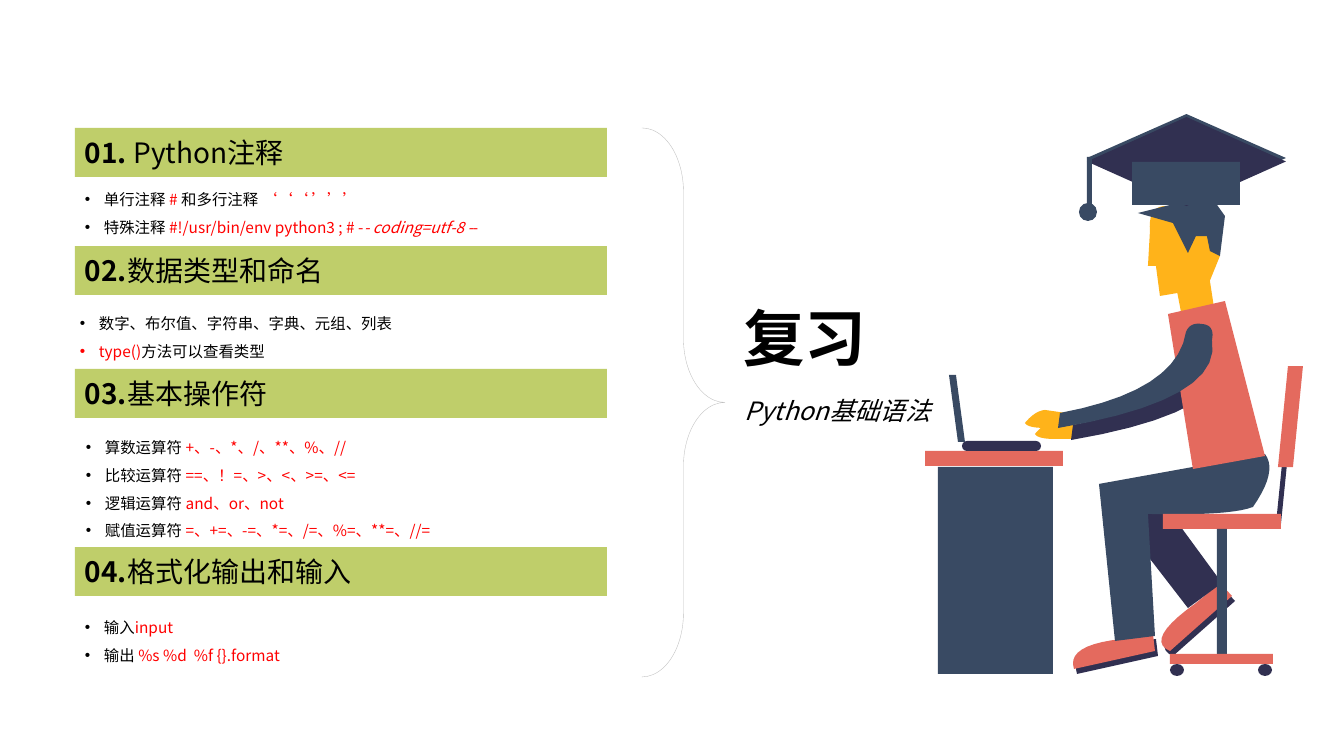
from lxml import etree
from pptx import Presentation
from pptx.dml.color import RGBColor
from pptx.enum.shapes import MSO_SHAPE
from pptx.enum.text import MSO_ANCHOR, MSO_AUTO_SIZE, PP_ALIGN
from pptx.oxml.ns import qn
from pptx.util import Pt

RECT, OVAL, BRACE = MSO_SHAPE.RECTANGLE, MSO_SHAPE.OVAL, MSO_SHAPE.RIGHT_BRACE
DIAMOND, ROUND = MSO_SHAPE.DIAMOND, MSO_SHAPE.ROUNDED_RECTANGLE
TOP, MIDDLE = MSO_ANCHOR.TOP, MSO_ANCHOR.MIDDLE
LEFT, FIXED = PP_ALIGN.LEFT, MSO_AUTO_SIZE.NONE
PX = 12192000 / 1344
FONT = "Noto Sans CJK SC"
BLACK, RED, LIME, GRAY = "000000", "FF0000", "BFCE6A", "BFBFBF"
NAVY, SLATE, CORAL, SKIN = "313051", "394A63", "E46A5E", "FFB31A"
STEPS = 10
WIDE = 532


def px(num):
    """Turn pixels into EMU."""
    return round(num * PX)


def rgb(code):
    """Turn a hex string into a colour."""
    return RGBColor.from_string(code)


def red(text, **style):
    """Give a run in red."""
    return text, {"color": RED, **style}


def bold(text):
    """Give a run in bold."""
    return text, {"bold": True}


# Section: number, heading, bar top, list left and top, list lines
PARTS = [
    ("01.", " Python注释", 128, (75, 176), [
        ["单行注释 ", red("# "), "和多行注释 ", red("‘‘‘ ’’’")],
        ["特殊注释\u00a0", red("#!/usr/bin/env python3 ; # -"),
         red("- coding=utf-8 -", italic=True), red("-\u00a0")]]),
    ("02.", "数据类型和命名", 246, (70, 300), [
        ["数字、布尔值、字符串、字典、元组、列表"],
        [red("type()"), "方法可以查看类型"]]),
    ("03.", "基本操作符", 369, (76, 424), [
        ["算数运算符 ", red("+、-、*、/、**、%、//")],
        ["比较运算符 ", red("==、！=、>、<、>=、<=")],
        ["逻辑运算符\u00a0", red("and、or、not")],
        ["赋值运算符\u00a0", red("=、+=、-=、*=、/=、%=、**=、//=")]]),
    ("04.", "格式化输出和输入", 547, (75, 604), [
        ["输入", red("input")],
        ["输出 ", red("%s %d  %f {}.format ")]]),
]

# Outlines: a pair is a corner, four numbers are a curve (handle, end)
HEEL = [(1170, 651), (1232, 596), (1220, 583), (1196, 603),
        (1144, 640, 1170, 651)]
SHOE = [(1074, 669), (1155, 651), (1153, 634), (1122, 639),
        (1066, 645, 1074, 669)]
CALF = [(1222, 583), (1188, 608), (1110, 507), (1148, 482)]
NECK = [(1215, 314), (1183, 322), (1176, 286), (1210, 281)]
HEAD = [(1220, 256), (1207, 288), (1160, 296), (1156, 266), (1148, 266),
        (1150, 231), (1148, 206, 1166, 206), (1212, 218)]
LEGS = [(1099, 484), (1265, 454), (1278, 471, 1253, 507),
        (1230, 516, 1148, 514), (1155, 636), (1115, 641)]
TORSO = [(1265, 456), (1193, 469), (1168, 314), (1225, 301)]
HAND = [(1025, 423), (1035, 411, 1045, 410), (1066, 413),
        (1080, 420, 1066, 428), (1045, 428), (1028, 428, 1025, 423)]
SLEEVE = [(1212, 340), (1215, 325, 1202, 324), (1190, 322, 1186, 332),
          (1177, 391, 1060, 413), (1058, 428), (1223, 400, 1212, 340)]
HAIR = [(1220, 256), (1225, 216), (1210, 195), (1138, 213), (1173, 223),
        (1188, 253), (1196, 236), (1207, 236), (1210, 251)]


def paint(shape, fill):
    """Give a shape a plain fill, no line and no shadow."""
    shape.shadow.inherit = False
    shape.fill.solid()
    shape.fill.fore_color.rgb = rgb(fill)
    shape.line.fill.background()


def block(slide, kind, fill, *box):
    """Add a filled preset shape."""
    shape = slide.shapes.add_shape(kind, *map(px, box))
    paint(shape, fill)
    return shape


def bend(start, curve):
    """Give points along a curve with one handle."""
    knots = [start, curve[:2], curve[2:]]
    for step in range(1, STEPS + 1):
        t = step / STEPS
        mix = ((1 - t) ** 2, 2 * t * (1 - t), t * t)
        yield tuple(sum(m * k[axis] for m, k in zip(mix, knots))
                    for axis in (0, 1))


def outline(slide, fill, nodes, right=0, down=0):
    """Add a filled closed outline, moved by a shift."""
    dots = [nodes[0]]
    for node in nodes[1:]:
        dots += [node] if len(node) == 2 else bend(dots[-1], node)
    dots = [(px(x + right), px(y + down)) for x, y in dots]
    pen = slide.shapes.build_freeform(*dots[0], scale=1.0)
    pen.add_line_segments(dots[1:], close=True)
    paint(pen.convert_to_shape(), fill)


def slant(slide, fill, foot, low, head, high, width):
    """Add a leaning bar between two heights."""
    outline(slide, fill, [(foot, low), (head, high),
                          (head + width, high), (foot + width, low)])


def shoe(slide, nodes):
    """Add a shoe on its dark sole."""
    outline(slide, NAVY, nodes, 3, 5)
    outline(slide, CORAL, nodes)


def dot(para):
    """Give a paragraph a hanging bullet."""
    props = para._p.get_or_add_pPr()
    props.set("marL", str(px(19)))
    props.set("indent", str(-px(19)))
    etree.SubElement(props, qn("a:buFont")).set("typeface", "Arial")
    etree.SubElement(props, qn("a:buChar")).set("char", "•")


def write(shape, lines, size, gap=1.0, anchor=TOP, wrap=True, bullet=False):
    """Fill a shape with lines of runs; a run is text or (text, style)."""
    frame = shape.text_frame
    frame.auto_size, frame.word_wrap = FIXED, wrap
    frame.vertical_anchor = anchor
    for i, runs in enumerate(lines):
        para = frame.add_paragraph() if i else frame.paragraphs[0]
        para.alignment, para.line_spacing = LEFT, gap
        if bullet:
            dot(para)
        for item in runs:
            text, style = (item, {}) if isinstance(item, str) else item
            run = para.add_run()
            run.text = text
            font = run.font
            font.name, font.size = FONT, Pt(size)
            font.bold = style.get("bold", False)
            font.italic = style.get("italic", False)
            font.color.rgb = rgb(style.get("color", BLACK))
            east = etree.SubElement(run._r.get_or_add_rPr(), qn("a:ea"))
            east.set("typeface", FONT)


def label(slide, box, lines, size, **style):
    """Add a text box."""
    write(slide.shapes.add_textbox(*map(px, box)), lines, size, **style)


def brace(slide, *box):
    """Add the thin brace that joins the sections."""
    shape = slide.shapes.add_shape(BRACE, *map(px, box))
    shape.shadow.inherit = False
    shape.adjustments[0], shape.adjustments[1] = 0.77, 0.5
    shape.fill.background()
    shape.line.color.rgb = rgb(GRAY)
    shape.line.width = Pt(0.25)


def person(slide):
    """Draw the student, from the far side to the near side."""
    slant(slide, NAVY, 1276, 524, 1286, 425, 5)
    shoe(slide, HEEL)
    outline(slide, NAVY, CALF)
    outline(slide, SKIN, NECK)
    outline(slide, SKIN, HEAD)
    shoe(slide, SHOE)
    outline(slide, SLATE, LEGS)
    outline(slide, SKIN, HAND, 10, 11)
    outline(slide, NAVY, SLEEVE, 13, 12)
    outline(slide, CORAL, TORSO)
    outline(slide, SKIN, HAND)
    outline(slide, SLATE, SLEEVE)
    outline(slide, SLATE, HAIR)


def desk(slide):
    """Draw the chair, the desk and the laptop."""
    block(slide, RECT, CORAL, 1163, 514, 118, 15)
    block(slide, RECT, CORAL, 925, 451, 138, 15)
    slant(slide, CORAL, 1278, 467, 1288, 366, 15)
    block(slide, RECT, SLATE, 1217, 529, 10, 127)
    block(slide, RECT, CORAL, 1170, 654, 103, 10)
    for left in (1170, 1258):
        block(slide, OVAL, NAVY, left, 664, 14, 12)
    block(slide, RECT, SLATE, 938, 467, 115, 207)
    base = block(slide, ROUND, NAVY, 962, 441, 79, 10)
    base.adjustments[0] = 0.5
    slant(slide, SLATE, 958, 442, 949, 375, 7)


def cap(slide):
    """Draw the cap with its rim and tassel."""
    block(slide, DIAMOND, SLATE, 1087, 114, 199, 88)
    block(slide, DIAMOND, NAVY, 1087, 117, 199, 89)
    block(slide, RECT, SLATE, 1132, 162, 108, 43)
    block(slide, RECT, SLATE, 1087, 157, 5, 48)
    block(slide, OVAL, SLATE, 1079, 203, 18, 18)


def main():
    """Build the review slide."""
    deck = Presentation()
    deck.slide_width, deck.slide_height = px(1344), px(756)
    slide = deck.slides.add_slide(deck.slide_layouts[5])
    title = slide.shapes.title
    title.left, title.top, title.width, title.height = map(
        px, (733, 295, 507, 48))
    write(title, [[bold("复习")]], 44, wrap=False)
    for num, head, top, spot, lines in PARTS:
        bar = block(slide, RECT, LIME, 75, top, WIDE, 49)
        write(bar, [[bold(num), head]], 20, anchor=MIDDLE, wrap=False)
        label(slide, (*spot, WIDE, 28 * len(lines) + 16), lines, 11,
              gap=1.5, bullet=True)
    brace(slide, 642, 128, 83, 549)
    label(slide, (735, 375, 507, 128),
          [[("Python基础语法", {"italic": True})]], 18, gap=1.5)
    for draw in (person, desk, cap):
        draw(slide)
    deck.save("out.pptx")


main()
